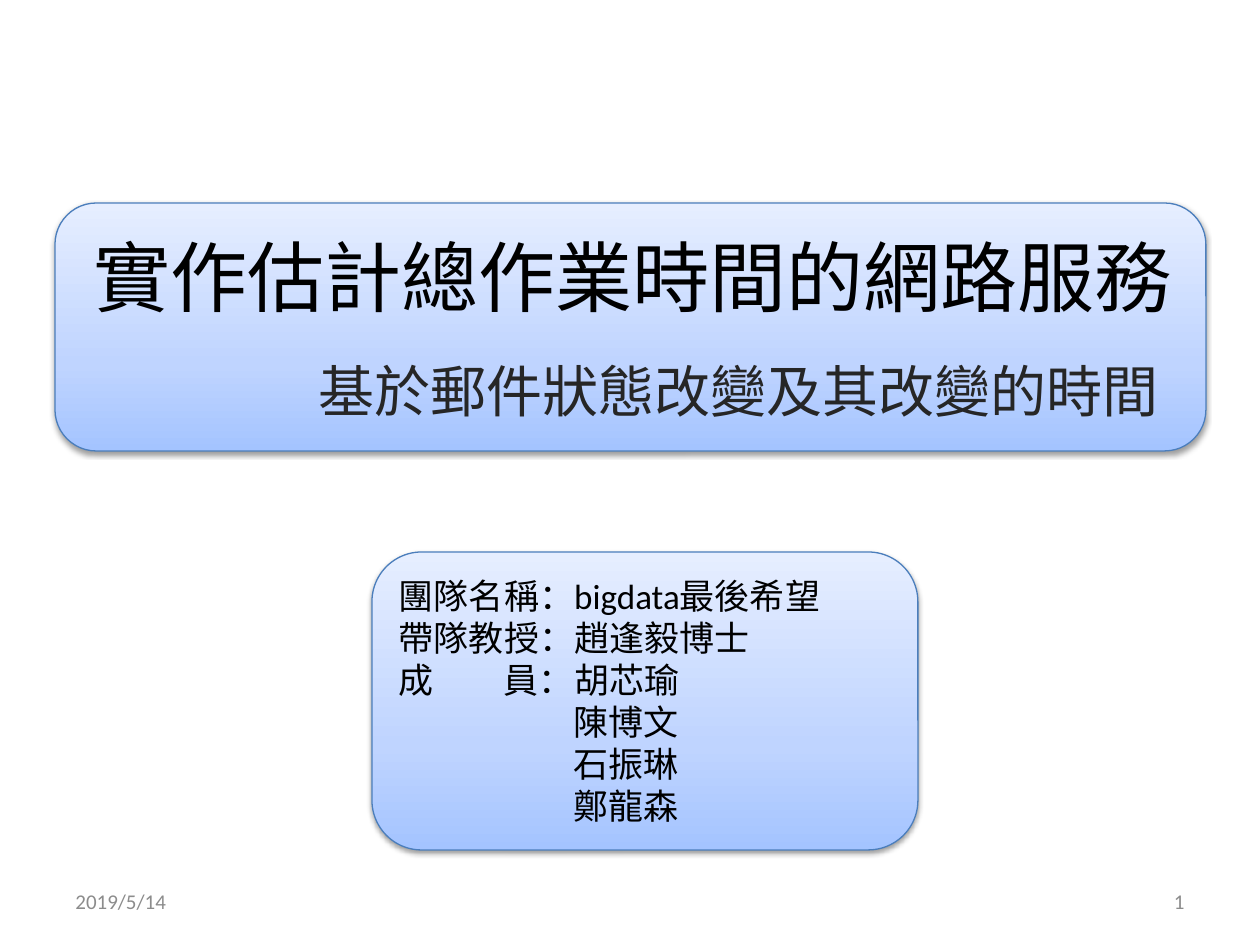
from copy import deepcopy
from dataclasses import dataclass

from lxml.etree import SubElement
from pptx import Presentation
from pptx.dml.color import RGBColor
from pptx.enum.shapes import MSO_SHAPE
from pptx.enum.text import MSO_ANCHOR, PP_ALIGN
from pptx.oxml.ns import qn
from pptx.shapes.autoshape import Shape
from pptx.slide import Slide
from pptx.text.text import TextFrame
from pptx.util import Emu, Pt

PIXEL = 914400 // 126
CJK_FONT = "Noto Sans CJK SC"
COLORS = {
    "panel_bottom": "A4C4FF",
    "panel_middle": "BFD4FF",
    "panel_top": "E6EEFF",
    "outline": "4B7EBC",
    "shadow": "000000",
    "title": "000000",
    "subtitle": "262626",
    "footer": "8C8C8C",
}
GRADIENT = [(0, "panel_bottom"), (0.35, "panel_middle"), (1, "panel_top")]


@dataclass(frozen=True)
class Box:
    left: int
    top: int
    width: int
    height: int

    def emu(self) -> list[Emu]:
        return [Emu(value * PIXEL) for value in (self.left, self.top, self.width, self.height)]


@dataclass(frozen=True)
class Label:
    box: Box
    text: str
    size: int
    color: str
    font: str = CJK_FONT
    alignment: PP_ALIGN = PP_ALIGN.CENTER
    anchor: MSO_ANCHOR = MSO_ANCHOR.MIDDLE


@dataclass(frozen=True)
class Piece:
    text: str
    spacing: int = 0


@dataclass(frozen=True)
class Line:
    pieces: tuple[Piece, ...]
    indent: int = 0


def rgb(name: str) -> RGBColor:
    return RGBColor.from_string(COLORS[name])


def add_run(paragraph, text: str, size: int, color: str, latin: str, spacing: int = 0) -> None:
    run = paragraph.add_run()
    run.text = text
    run.font.size = Pt(size)
    run.font.color.rgb = rgb(color)
    run.font.name = latin
    properties = run.font._element
    SubElement(properties, qn("a:ea"), typeface=CJK_FONT)
    if spacing:
        properties.set("spc", str(spacing * 100))


def add_label(slide: Slide, label: Label) -> None:
    frame = slide.shapes.add_textbox(*label.box.emu()).text_frame
    frame.word_wrap = True
    frame.vertical_anchor = label.anchor
    paragraph = frame.paragraphs[0]
    paragraph.alignment = label.alignment
    add_run(paragraph, label.text, label.size, label.color, label.font)


def add_panel(slide: Slide, box: Box) -> Shape:
    shape = slide.shapes.add_shape(MSO_SHAPE.ROUNDED_RECTANGLE, *box.emu())
    shape.line.color.rgb = rgb("outline")
    shape.line.width = Pt(0.75)
    shape.fill.gradient()
    shape.fill.gradient_angle = 90
    first_stop = shape._element.spPr.find(".//" + qn("a:gs"))
    first_stop.addnext(deepcopy(first_stop))
    for stop, (position, color) in zip(shape.fill.gradient_stops, GRADIENT):
        stop.position = position
        stop.color.rgb = rgb(color)
    shape.shadow.inherit = False
    effects = shape._element.spPr.find(qn("a:effectLst"))
    shadow = SubElement(
        effects, qn("a:outerShdw"), blurRad=str(Pt(3.1)), dist=str(Pt(1.6)),
        dir="5400000", rotWithShape="0",
    )
    color = SubElement(shadow, qn("a:srgbClr"), val=COLORS["shadow"])
    SubElement(color, qn("a:alpha"), val="38000")
    return shape


def write_lines(frame: TextFrame, lines: list[Line], size: int) -> None:
    frame.word_wrap = True
    frame.vertical_anchor = MSO_ANCHOR.MIDDLE
    for index, line in enumerate(lines):
        paragraph = frame.add_paragraph() if index else frame.paragraphs[0]
        paragraph.alignment = PP_ALIGN.LEFT
        paragraph.line_spacing = Pt(24)
        if line.indent:
            properties = paragraph._p.get_or_add_pPr()
            properties.set("marL", str(Pt(line.indent)))
            properties.set("indent", "0")
        for piece in line.pieces:
            add_run(paragraph, piece.text, size, "title", "Calibri", piece.spacing)


TEAM_SIZE = 20
TEAM_LINES = [
    Line((Piece("團隊名稱：bigdata最後希望"),)),
    Line((Piece("帶隊教授：趙逢毅博士"),)),
    Line((Piece("成", 2 * TEAM_SIZE), Piece("員：胡芯瑜"))),
    *(Line((Piece(name),), 5 * TEAM_SIZE) for name in ("陳博文", "石振琳", "鄭龍森")),
]
LABELS = [
    Label(Box(62, 212, 1142, 128), "實作估計總作業時間的網路服務", 44, "title"),
    Label(Box(280, 350, 918, 76), "基於郵件狀態改變及其改變的時間", 32, "subtitle",
          anchor=MSO_ANCHOR.TOP),
    Label(Box(63, 876, 294, 50), "2019/5/14", 12, "footer", "Calibri", PP_ALIGN.LEFT),
    Label(Box(903, 876, 294, 50), "1", 12, "footer", "Calibri", PP_ALIGN.RIGHT),
]

presentation = Presentation()
presentation.slide_width = Emu(1260 * PIXEL)
presentation.slide_height = Emu(945 * PIXEL)
slide = presentation.slides.add_slide(presentation.slide_layouts[6])
add_panel(slide, Box(55, 203, 1151, 248))
for label in LABELS:
    add_label(slide, label)
team_panel = add_panel(slide, Box(372, 552, 546, 298))
write_lines(team_panel.text_frame, TEAM_LINES, TEAM_SIZE)
presentation.save("out.pptx")
